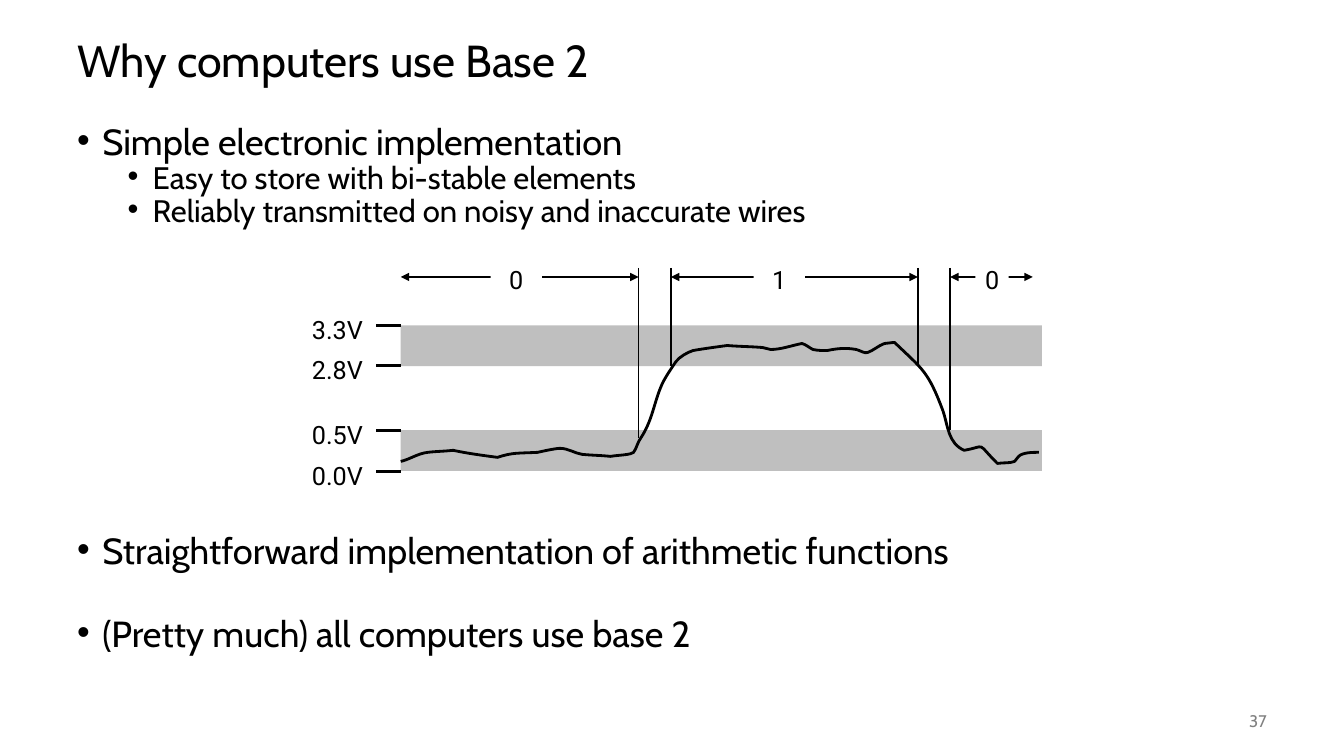
import lxml.etree
import pptx
import pptx.dml.color
import pptx.enum.shapes
import pptx.enum.text
import pptx.oxml.ns
import pptx.util

UNIT = pptx.util.Inches(0.01)
ALIGN = pptx.enum.text.PP_ALIGN
ANCHOR = pptx.enum.text.MSO_ANCHOR


class Theme:
    """Hold the colours, fonts and type sizes of the slide."""
    ink, band, paper, faint = "000000", "BFBFBF", "FFFFFF", "808080"
    prose, tech = "Cabin", "Roboto"
    title, lead, sub, label, foot = 32, 25.9, 22.2, 18, 12
    thick, thin = 2, 1


POINTS = [
    (0, 118),
    (9, 116), (17, 110), (27, 109), (35, 108), (43, 108), (52, 107),
    (66, 110), (81, 112), (96, 114), (111, 109), (116, 110), (136, 109),
    (140, 108), (154, 105), (158, 105), (166, 105), (173, 110), (180, 111),
    (190, 112), (199, 112), (208, 113), (214, 112), (219, 112), (225, 111),
    (227, 111), (229, 110), (231, 109), (234, 105), (235, 99), (238, 95),
    (250, 77), (251, 60), (259, 42), (262, 35), (269, 25), (273, 19),
    (277, 14), (284, 10), (290, 8), (301, 6), (324, 3), (324, 3),
    (335, 4), (347, 4), (359, 5), (362, 5), (364, 7), (367, 7),
    (377, 7), (388, 3), (398, 1), (402, 2), (405, 5), (409, 7),
    (414, 8), (418, 8), (423, 8), (433, 6), (441, 5), (452, 7),
    (456, 8), (460, 11), (463, 10), (469, 8), (474, 3), (480, 1),
    (483, 1), (486, 0), (490, 0), (518, 27), (523, 28), (538, 68),
    (543, 83), (543, 100), (559, 107), (582, 103), (570, 98), (592, 120),
    (598, 119), (604, 120), (609, 118), (611, 117), (611, 114), (613, 113),
    (617, 109), (627, 109), (633, 109),
]


def tint(hue):
    """Return a colour object."""
    return pptx.dml.color.RGBColor.from_string(hue)


def node(root, tag, **attrs):
    """Add a drawing element to a parent."""
    return lxml.etree.SubElement(root, pptx.oxml.ns.qn(tag), attrs)


def scale(*cells):
    """Turn grid cells into lengths."""
    return [round(cell * UNIT) for cell in cells]


def apply(item, values):
    """Set each attribute of an item from a dict."""
    for name, value in values.items():
        setattr(item, name, value)


def write(para, text, size, face, hue=Theme.ink, **form):
    """Put one styled run in a paragraph."""
    apply(para, form)
    run = para.add_run()
    run.text = text
    apply(run.font, {"size": pptx.util.Pt(size), "name": face})
    run.font.color.rgb = tint(hue)


def text_box(host, box, **form):
    """Add a text box and return its frame."""
    frame = host.shapes.add_textbox(*scale(*box)).text_frame
    apply(frame, {"word_wrap": True, **form})
    return frame


def block(host, box, hue):
    """Add a plain filled rectangle."""
    kind = pptx.enum.shapes.MSO_SHAPE.RECTANGLE
    shape = host.shapes.add_shape(kind, *scale(*box))
    shape.shadow.inherit = False
    shape.fill.solid()
    shape.fill.fore_color.rgb = tint(hue)
    shape.line.fill.background()
    return shape


def stroke(shape, width):
    """Style an outline."""
    shape.line.color.rgb = tint(Theme.ink)
    shape.line.width = pptx.util.Pt(width)


def rule(host, start, end, width, arrow=False):
    """Draw a straight line, with heads at both ends if asked."""
    kind = pptx.enum.shapes.MSO_CONNECTOR.STRAIGHT
    line = host.shapes.add_connector(kind, *scale(*start, *end))
    stroke(line, width)
    if arrow:
        for tag in ("a:headEnd", "a:tailEnd"):
            node(line.line._get_or_add_ln(), tag, type="triangle")
    node(line._element.spPr, "a:effectLst")


def trace(host, left, top):
    """Draw the noisy signal as cubic curves from its top left corner."""
    knots = [scale(left + x, top + y) for x, y in POINTS[::3]]
    form = host.shapes.build_freeform(*knots[0], scale=1.0)
    form.add_line_segments(knots[1:], close=False)
    curve = form.convert_to_shape()
    parts = list(curve._element.iter(pptx.oxml.ns.qn("a:lnTo")))
    for at, part in enumerate(parts):
        root = part.getparent()
        root.remove(part)
        bend = node(root, "a:cubicBezTo")
        for spot in POINTS[3 * at + 1:3 * at + 4]:
            x, y = scale(*spot)
            node(bend, "a:pt", x=str(x), y=str(y))
    curve.shadow.inherit = False
    curve.fill.background()
    stroke(curve, Theme.thick)


def signal(slide, box):
    """Draw the voltage diagram in its box, as one group."""
    host = slide.shapes.add_group_shape()
    left, top, wide, _ = box
    axis = left + 98
    levels = {"3.3V": 65, "2.8V": 105, "0.5V": 169, "0.0V": 210}
    for name in ("0.5V", "3.3V"):
        block(host, (axis, top + levels[name], wide - 98, 40.4), Theme.band)
    trace(host, axis, top + 82)
    for name, row in levels.items():
        y = top + row
        rule(host, (axis, y), (axis - 25, y), Theme.thick)
        frame = text_box(host, (left, y - 16, 71, 40), word_wrap=False)
        write(frame.paragraphs[0], name, Theme.label, Theme.tech)
    spans = (("0", 98, 334, 187, 51), ("1", 366, 611, 448, 51),
             ("0", 643, 725, 668, 33))
    for _, start, end, _, _ in spans:
        y = top + 17
        rule(host, (left + start, y), (left + end, y), Theme.thick, True)
    for col, row in ((334, 177), (366, 105), (611, 105), (643, 169)):
        x = left + col
        rule(host, (x, top + 8), (x, top + row), Theme.thin)
    for bit, _, _, col, width in spans:
        tag = block(host, (left + col, top, width, 40), Theme.paper)
        tag.text_frame.vertical_anchor = ANCHOR.TOP
        write(tag.text_frame.paragraphs[0], bit, Theme.label, Theme.tech,
              alignment=ALIGN.CENTER)


def heading(slide, box):
    """Place and fill the title."""
    title = slide.shapes.title
    places = zip(("left", "top", "width", "height"), scale(*box))
    apply(title, dict(places))
    title.text_frame.vertical_anchor = ANCHOR.MIDDLE
    write(title.text_frame.paragraphs[0], "Why computers use Base 2",
          Theme.title, Theme.prose, alignment=ALIGN.LEFT, line_spacing=0.9)


def bullets(slide, box):
    """Write the bullet list, leaving room for the diagram."""
    items = (
        ("Simple electronic implementation", 0, 0),
        ("Easy to store with bi-stable elements", 1, 5),
        ("Reliably transmitted on noisy and inaccurate wires", 1, 5),
        ("Straightforward implementation of arithmetic functions", 0, 223),
        ("(Pretty much) all computers use base 2", 0, 37.6),
    )
    frame = text_box(slide, box)
    for at, (text, level, gap) in enumerate(items):
        para = frame.add_paragraph() if at else frame.paragraphs[0]
        props = para._p.get_or_add_pPr()
        props.set("marL", str(scale(25 + 50 * level)[0]))
        props.set("indent", str(scale(-25)[0]))
        node(props, "a:buFont", typeface="Arial")
        node(props, "a:buChar", char="•")
        size = Theme.sub if level else Theme.lead
        write(para, text, size, Theme.prose, level=level, line_spacing=0.7,
              space_before=pptx.util.Pt(gap))


def footer(slide, box):
    """Write the slide number."""
    frame = text_box(slide, box, vertical_anchor=ANCHOR.MIDDLE)
    write(frame.paragraphs[0], "37", Theme.foot, Theme.prose, Theme.faint,
          alignment=ALIGN.RIGHT)


def main():
    """Build and save the slide."""
    deck = pptx.Presentation()
    size = scale(1333.33, 750)
    apply(deck, dict(zip(("slide_width", "slide_height"), size)))
    slide = deck.slides.add_slide(deck.slide_layouts[5])
    heading(slide, (66.7, 25, 1200, 75))
    bullets(slide, (66.7, 125, 1200, 550))
    signal(slide, (299.6, 257.8, 734, 234))
    footer(slide, (1166.6, 695, 100, 40))
    deck.save("out.pptx")


if __name__ == "__main__":
    main()
